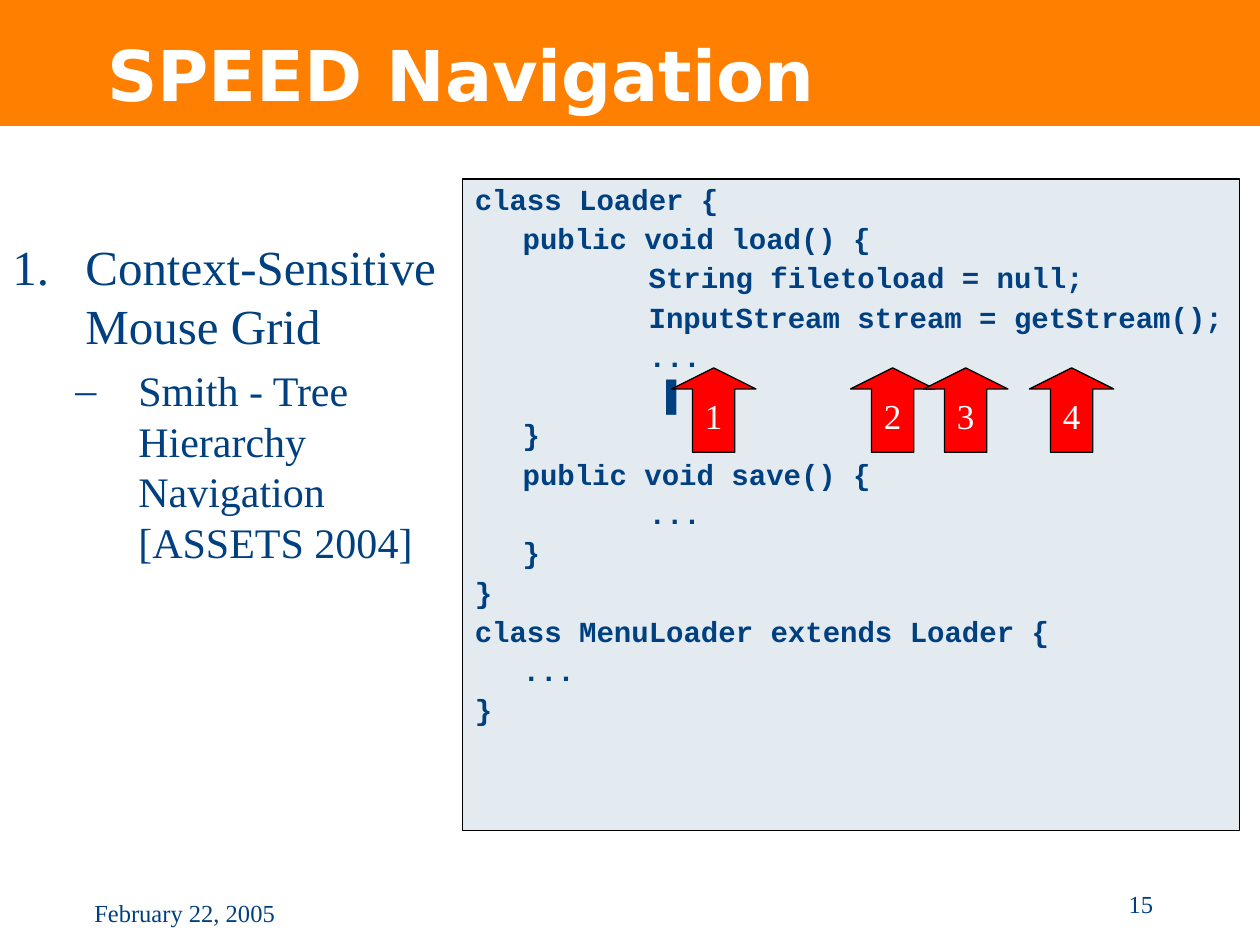
from lxml import etree
from pptx import Presentation
from pptx import util as u
from pptx.dml.color import RGBColor
from pptx.enum import shapes, text
from pptx.oxml.ns import qn

NAVY, WHITE, BLACK = "004080", "FFFFFF", "000000"
ORANGE, PALE, RED = "FF8000", "E3EBF1", "FF0000"
SERIF, MONO = "Times New Roman", "Courier New"
CODE = """class Loader {
\tpublic void load() {
\t\tString filetoload = null;
\t\tInputStream stream = getStream();
\t\t...
\t\t ▌
\t}
\tpublic void save() {
\t\t...
\t}
}
class MenuLoader extends Loader {
\t...
}"""


def color(value):
    """Turn a hex string into a colour."""
    return RGBColor.from_string(value)


def add_run(paragraph, words, size, font=SERIF, ink=NAVY, bold=False):
    """Add one formatted run to a paragraph."""
    run = paragraph.add_run()
    run.text = words
    run.font.size = u.Pt(size)
    run.font.name = font
    run.font.bold = bold
    run.font.color.rgb = color(ink)


def add_box(slide, kind, box, fill, line=None):
    """Add a flat preset shape."""
    shape = slide.shapes.add_shape(kind, *map(u.Inches, box))
    shape.shadow.inherit = False
    shape.fill.solid()
    shape.fill.fore_color.rgb = color(fill)
    if line:
        shape.line.color.rgb = color(line)
        shape.line.width = u.Pt(0.75)
    else:
        shape.line.fill.background()
    return shape


def add_text(slide, box, wrap=True):
    """Add an empty text box and return its text frame."""
    frame = slide.shapes.add_textbox(*map(u.Inches, box)).text_frame
    frame.word_wrap = wrap
    if not wrap:
        frame.auto_size = text.MSO_AUTO_SIZE.SHAPE_TO_FIT_TEXT
    return frame


def set_indent(paragraph, margin, hanging):
    """Set a hanging indent and return the paragraph properties."""
    properties = paragraph._p.get_or_add_pPr()
    properties.set("marL", str(u.Inches(margin)))
    properties.set("indent", str(-u.Inches(hanging)))
    return properties


def add_header(slide, box):
    """Place the banner behind the title."""
    left, top, width, height = box
    banner = add_box(slide, shapes.MSO_SHAPE.RECTANGLE, box, ORANGE)
    slide.shapes._spTree.insert(2, banner._element)
    title = slide.shapes.title
    title.left, title.top = u.Inches(left + 0.75), u.Inches(top + 0.08)
    title.width, title.height = u.Inches(width - 1.5), u.Inches(height)
    frame = title.text_frame
    frame.vertical_anchor = text.MSO_ANCHOR.MIDDLE
    frame.auto_size = text.MSO_AUTO_SIZE.NONE
    paragraph = frame.paragraphs[0]
    paragraph.alignment = text.PP_ALIGN.LEFT
    add_run(paragraph, "SPEED Navigation", 40, "DejaVu Sans", WHITE, True)


def add_outline(slide, box):
    """Place the numbered topic and its sub-point."""
    frame = add_text(slide, box)
    items = [
        ("Context-Sensitive Mouse Grid", 28, 0.58, 0.58, "buAutoNum", {"type": "arabicPeriod"}),
        ("Smith - Tree Hierarchy Navigation [ASSETS 2004]", 24, 1, 0.5, "buChar", {"char": "–"}),
    ]
    for level, (words, size, margin, hanging, tag, settings) in enumerate(items):
        paragraph = frame.add_paragraph() if level else frame.paragraphs[0]
        properties = set_indent(paragraph, margin, hanging)
        bullet_color = etree.SubElement(properties, qn("a:buClr"))
        etree.SubElement(bullet_color, qn("a:srgbClr"), val=NAVY)
        etree.SubElement(properties, qn("a:buFont"), typeface=SERIF)
        etree.SubElement(properties, qn("a:" + tag), settings)
        paragraph.level = level
        if level:
            paragraph.space_before = u.Pt(6)
        add_run(paragraph, words, size)


def add_code(slide, box):
    """Place the code listing with its cursor."""
    panel = add_box(slide, shapes.MSO_SHAPE.RECTANGLE, box, PALE, BLACK)
    frame = panel.text_frame
    frame.word_wrap = True
    frame.vertical_anchor = text.MSO_ANCHOR.TOP
    for index, line in enumerate(CODE.split("\n")):
        paragraph = frame.add_paragraph() if index else frame.paragraphs[0]
        properties = set_indent(paragraph, 0.38, 0.38)
        properties.set("defTabSz", str(u.Inches(1)))
        tabs = etree.SubElement(properties, qn("a:tabLst"))
        for stop in range(8):
            etree.SubElement(tabs, qn("a:tab"), pos=str(u.Inches(stop)), algn="l")
        paragraph.alignment = text.PP_ALIGN.LEFT
        paragraph.line_spacing = 0.9
        if index:
            paragraph.space_before = u.Pt(4.5)
        code, cursor, _ = line.partition("▌")
        add_run(paragraph, code, 16.6, MONO, bold=True)
        if cursor:
            add_run(paragraph, cursor, 16.6, "Arial", bold=True)


def add_markers(slide, box, offsets):
    """Place numbered arrows at offsets within the code panel."""
    left, top = box[:2]
    for number, offset in enumerate(offsets, 1):
        arrow = add_box(slide, shapes.MSO_SHAPE.UP_ARROW,
                        (left + offset, top + 1.5, 0.67, 0.67), RED, BLACK)
        arrow.adjustments[0], arrow.adjustments[1] = 0.5, 0.25
        frame = arrow.text_frame
        frame.word_wrap = False
        frame.vertical_anchor = text.MSO_ANCHOR.MIDDLE
        paragraph = frame.paragraphs[0]
        paragraph.alignment = text.PP_ALIGN.CENTER
        add_run(paragraph, str(number), 20, ink=WHITE)


def add_footer(slide, box):
    """Place the date at the left and the page number at the right."""
    left, top, width, height = box
    date = add_text(slide, (left, top + 0.07, 1.65, 0.34), False)
    add_run(date.paragraphs[0], "February 22, 2005", 14)
    page = add_text(slide, (left + width - 2.08, top, 2.08, height)).paragraphs[0]
    page.alignment = text.PP_ALIGN.RIGHT
    add_run(page, "15", 14)


def main():
    """Build and save the slide."""
    presentation = Presentation()
    presentation.slide_width, presentation.slide_height = u.Inches(10), u.Inches(7.5)
    slide = presentation.slides.add_slide(presentation.slide_layouts[5])
    panel = (3.67, 1.42, 6.17, 5.17)
    add_header(slide, (0, 0, 10, 1))
    add_outline(slide, (0, 1.83, 3.83, 4.83))
    add_code(slide, panel)
    add_markers(slide, panel, (1.66, 3.08, 3.66, 4.5))
    add_footer(slide, (0.65, 7.01, 8.6, 0.5))
    presentation.save("out.pptx")


if __name__ == "__main__":
    main()
